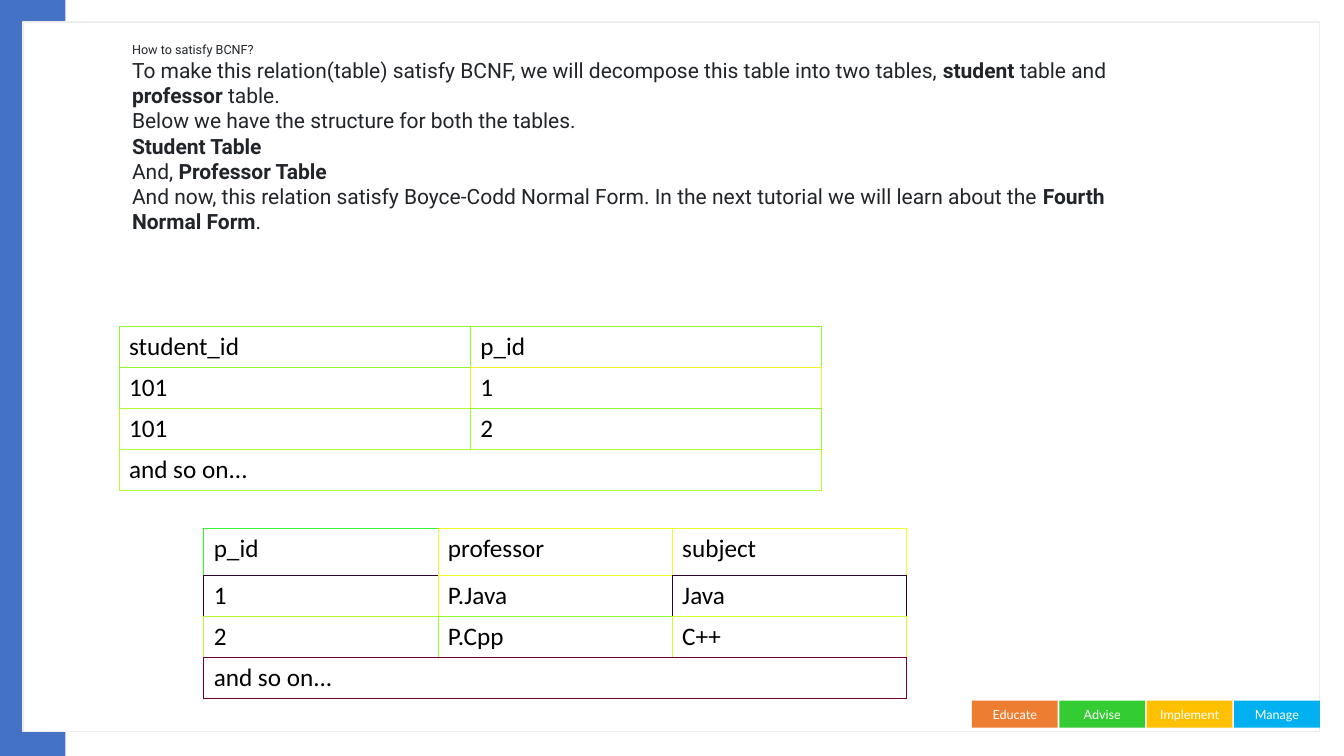
from lxml.etree import SubElement
from pptx import Presentation
from pptx.dml.color import RGBColor
from pptx.enum.shapes import MSO_SHAPE
from pptx.enum.text import MSO_ANCHOR, PP_ALIGN
from pptx.oxml.ns import qn
from pptx.util import Inches, Pt


def color(value):
    return RGBColor.from_string(value)


class SlideBuilder:
    body_font = "Roboto"
    table_font = "Calibri"
    label_font = "Lato"
    white = "FFFFFF"
    black = "000000"
    body_color = "212529"
    border_width = Pt(0.6)

    def __init__(self, slide):
        self.slide = slide

    def format_font(self, font, name, size, value, bold=False):
        font.name = name
        font.size = Pt(size)
        font.bold = bold
        font.color.rgb = color(value)

    def rectangle(self, left, top, width, height, fill, line=None):
        shape = self.slide.shapes.add_shape(
            MSO_SHAPE.RECTANGLE, Inches(left), Inches(top), Inches(width), Inches(height))
        shape.shadow.inherit = False
        shape.fill.solid()
        shape.fill.fore_color.rgb = color(fill)
        if line:
            shape.line.color.rgb = color(line)
            shape.line.width = Pt(1)
        else:
            shape.line.fill.background()
        return shape

    def label(self, left, top, width, height, fill, text):
        text_frame = self.rectangle(left, top, width, height, fill).text_frame
        text_frame.margin_left = text_frame.margin_right = 0
        text_frame.margin_top = text_frame.margin_bottom = 0
        text_frame.vertical_anchor = MSO_ANCHOR.MIDDLE
        text_frame.text = text
        paragraph = text_frame.paragraphs[0]
        paragraph.alignment = PP_ALIGN.CENTER
        self.format_font(paragraph.runs[0].font, self.label_font, 9, self.white)

    def text(self, left, top, width, height, paragraphs):
        text_box = self.slide.shapes.add_textbox(
            Inches(left), Inches(top), Inches(width), Inches(height))
        text_frame = text_box.text_frame
        text_frame.word_wrap = True
        text_frame.margin_left = text_frame.margin_right = 0
        text_frame.margin_top = text_frame.margin_bottom = 0
        for index, (size, runs) in enumerate(paragraphs):
            paragraph = text_frame.paragraphs[0] if index == 0 else text_frame.add_paragraph()
            for content, bold in runs:
                run = paragraph.add_run()
                run.text = content
                self.format_font(run.font, self.body_font, size, self.body_color, bold)

    def cell(self, cell, borders):
        left_top, right, bottom = borders
        properties = cell._tc.get_or_add_tcPr()
        sides = {"a:lnL": left_top, "a:lnR": right, "a:lnT": left_top, "a:lnB": bottom}
        for side, value in sides.items():
            line = SubElement(properties, qn(side), w=str(self.border_width))
            solid_fill = SubElement(line, qn("a:solidFill"))
            SubElement(solid_fill, qn("a:srgbClr"), val=value)
        cell.fill.solid()
        cell.fill.fore_color.rgb = color(self.white)

    def table(self, left, top, width, row_heights, rows, closing_text, closing_color):
        column_count = len(rows[0])
        shape = self.slide.shapes.add_table(
            len(row_heights), column_count, Inches(left), Inches(top),
            Inches(width), Inches(sum(row_heights)))
        table = shape.table
        table.first_row = False
        table.horz_banding = False
        for row, height in zip(table.rows, row_heights):
            row.height = Inches(height)
        closing_row = [(closing_text, (closing_color,) * 3)]
        closing_row += [("", (closing_color,) * 3)] * (column_count - 1)
        for row_index, row in enumerate(rows + [closing_row]):
            for column_index, (text, borders) in enumerate(row):
                cell = table.cell(row_index, column_index)
                self.cell(cell, borders)
                cell.text_frame.text = text
                for run in cell.text_frame.paragraphs[0].runs:
                    self.format_font(run.font, self.table_font, 18, self.black)
        last_row = len(rows)
        table.cell(last_row, 0).merge(table.cell(last_row, column_count - 1))


def main():
    presentation = Presentation()
    presentation.slide_width = Inches(13.33)
    presentation.slide_height = Inches(7.5)
    builder = SlideBuilder(presentation.slides.add_slide(presentation.slide_layouts[6]))

    builder.rectangle(0, 0, 0.65, 7.5, "4472C4")
    builder.rectangle(0.23, 0.22, 12.86, 7.04, "FFFFFF", "EDEDED")

    services = [("Educate", "ED7D31"), ("Advise", "33CC33"),
                ("Implement", "FFC000"), ("Manage", "00B0F0")]
    for index, (service, fill) in enumerate(services):
        builder.label(9.64 + index * 2.6 / 3, 6.95, 0.85, 0.27, fill, service)

    student_rows = [
        [("student_id", ("90F92E", "90F92E", "90F62E")),
         ("p_id", ("90F92E", "90F92E", "F0F22E"))],
        [("101", ("90F62E", "F0F22E", "B0FE2E")),
         ("1", ("F0F22E", "F0F22E", "90FB2E"))],
        [("101", ("B0FE2E", "90FB2E", "B0FF2E")),
         ("2", ("90FB2E", "90FB2E", "B0FF2E"))],
    ]
    builder.table(1.18, 3.24, 6.97, [0.4] * 4, student_rows, "and so on...", "B0FF2E")

    professor_rows = [
        [("p_id", ("30FB2E", "F0FC2E", "30002F")),
         ("professor", ("F0FC2E", "F0FD2E", "F0FC2E")),
         ("subject", ("F0FD2E", "F0FD2E", "30002F"))],
        [("1", ("30002F", "F0FC2E", "B0FB2E")),
         ("P.Java", ("F0FC2E", "30002F", "90FC2E")),
         ("Java", ("30002F", "30002F", "D0FF2E"))],
        [("2", ("B0FB2E", "90FC2E", "70012F")),
         ("P.Cpp", ("90FC2E", "D0FF2E", "70012F")),
         ("C++", ("D0FF2E", "D0FF2E", "70012F"))],
    ]
    builder.table(2.02, 5.24, 6.97, [0.47] + [0.4] * 3, professor_rows,
                  "and so on...", "70012F")

    builder.text(1.31, 0.42, 10.23, 2.43, [
        (9, [("How to satisfy BCNF?", False)]),
        (15, [("To make this relation(table) satisfy BCNF, we will decompose "
               "this table into two tables, ", False),
              ("student", True), (" table and ", False),
              ("professor", True), (" table.", False)]),
        (15, [("Below we have the structure for both the tables.", False)]),
        (15, [("Student Table", True)]),
        (15, [("And, ", False), ("Professor Table", True)]),
        (15, [("And now, this relation satisfy Boyce-Codd Normal Form. In the next "
               "tutorial we will learn about the ", False),
              ("Fourth Normal Form", True), (".", False)]),
    ])

    presentation.save("out.pptx")


if __name__ == "__main__":
    main()
